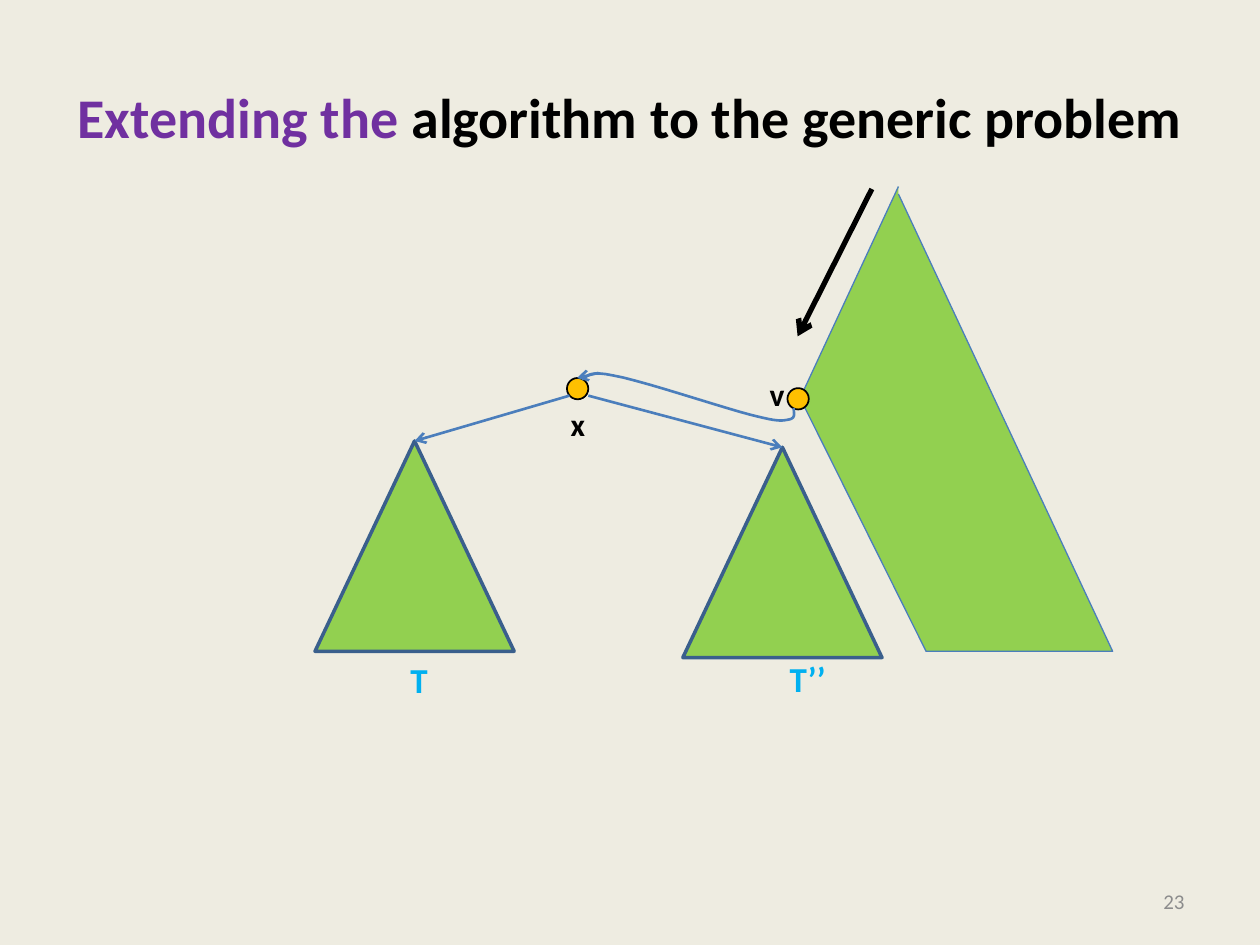
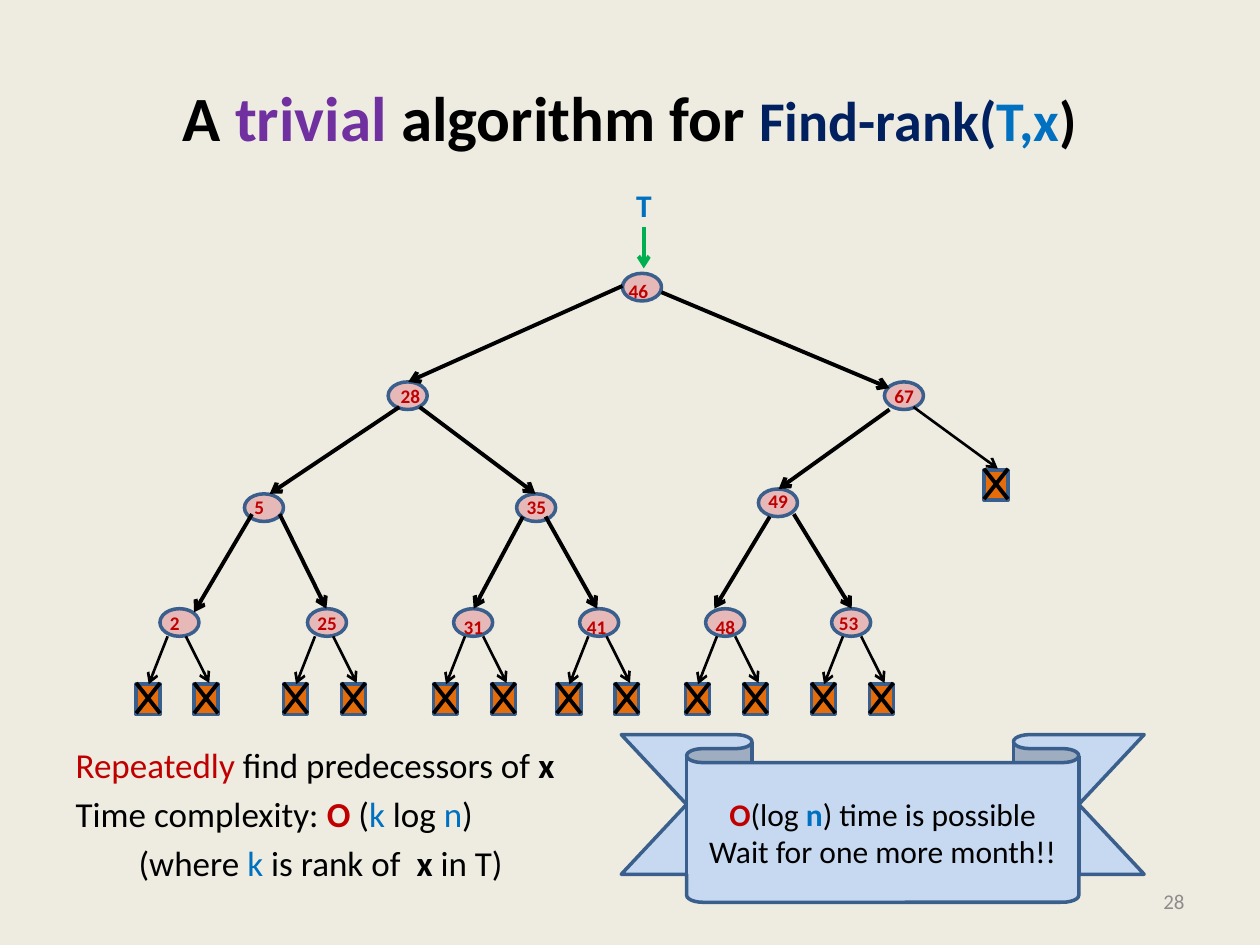
import dataclasses

import pptx
import pptx.dml.color
import pptx.enum.shapes
import pptx.enum.text
import pptx.oxml
import pptx.oxml.ns
import pptx.util

Pt = pptx.util.Pt
Shape = pptx.enum.shapes.MSO_SHAPE
Align = pptx.enum.text.PP_ALIGN
Anchor = pptx.enum.text.MSO_ANCHOR


@dataclasses.dataclass(frozen=True)
class Theme:
    font: str = "Calibri"
    paper: str = "EEECE1"
    black: str = "000000"
    grey: str = "8C8C8C"
    purple: str = "7030A0"
    navy: str = "002060"
    blue: str = "0070C0"
    sky: str = "00B0F0"
    red: str = "C00000"
    green: str = "92D050"
    arrow_green: str = "00B050"
    gold: str = "FFC000"
    pink: str = "E6B9B8"
    orange: str = "E46C0A"
    ribbon: str = "C6D9F1"
    outline: str = "3A5F8C"
    link: str = "4B7EBC"
    title_large: int = 36
    title: int = 32
    body: int = 20
    label: int = 18
    footer: int = 12
    key: int = 11


THEME = Theme()
NODE_SIZE = (22.3, 15.8)
LEAF_SIZE = (13.7, 17.3)
LEAF_TOP = 391
LEAF_STEP = 33.1
LEAF_STARTS = [77.8, 162, 247.7, 318.2, 391.7, 463.7]
NODES = [
    ("46", 355.7, 156.2, -3.6, 0),
    ("28", 221.8, 218.2, 0, -2.2),
    ("67", 505.4, 218.2, -1.4, -2.2),
    ("5", 139.7, 282.2, -1.4, -2.9),
    ("35", 295.2, 282.2, -1.4, -2.9),
    ("49", 433.4, 279.4, -1.4, -3.6),
    ("2", 91.4, 347.8, -1.4, -2.2),
    ("25", 175.7, 347.8, -1.4, -2.2),
    ("31", 259.2, 347.8, -1.4, 0),
    ("41", 331.2, 347.8, -2.9, 0),
    ("48", 403.2, 347.8, -1.4, 0),
    ("53", 475.2, 347.8, -2.9, -2.2),
]
EDGES = [
    (355.7, 163.4, 233.3, 218.2), (378, 167, 508.3, 221.8),
    (228.2, 232.6, 154.1, 282.2), (239.8, 232.6, 306, 282.2),
    (508.3, 234, 445, 279.4),
    (144, 293.8, 110.9, 349.9), (159.8, 293.8, 186.5, 347.8),
    (298.8, 295.2, 270.7, 347.8), (311.8, 295.2, 341.3, 347.8),
    (439.9, 295.2, 408.2, 347.8), (453.6, 293.8, 486.7, 347.8),
]
CURVES = [
    [(453.6, 233.3), (453.6, 236.2), (455, 239), (450.7, 239.8)],
    [(450.7, 239.8), (446.4, 240.5), (445, 241.2), (428.4, 236.9)],
    [(428.4, 236.9), (411.8, 232.6), (366.5, 217.4), (350.6, 214.6)],
    [(350.6, 214.6), (334.1, 211), (335.5, 216.7), (332.6, 216.7)],
]


def rgb(color):
    return pptx.dml.color.RGBColor.from_string(color)


def add_spans(para, spans, size):
    for text, color, bold, *own_size in spans:
        span = para.add_run()
        span.text = text
        span.font.name = THEME.font
        span.font.size = Pt(own_size[0] if own_size else size)
        span.font.bold = bold
        span.font.color.rgb = rgb(color)


def place(box, left, top, width, height):
    box.left, box.top, box.width, box.height = map(Pt, (left, top, width, height))


def add_label(page, area, text, color, size, bold=True, wrap=False):
    box = page.shapes.add_textbox(*map(Pt, area))
    box.text_frame.word_wrap = wrap
    add_spans(box.text_frame.paragraphs[0], [(text, color, bold)], size)
    return box


def style_shape(shape, fill, line, weight):
    shape.shadow.inherit = False
    if fill:
        shape.fill.solid()
        shape.fill.fore_color.rgb = rgb(fill)
    else:
        shape.fill.background()
    shape.line.color.rgb = rgb(line)
    shape.line.width = Pt(weight)


def add_figure(page, kind, area, fill, line=THEME.outline, weight=2):
    shape = page.shapes.add_shape(kind, *map(Pt, area))
    style_shape(shape, fill, line, weight)
    return shape


def add_outline(page, points, fill, weight):
    builder = page.shapes.build_freeform(Pt(points[0][0]), Pt(points[0][1]))
    builder.add_line_segments([(Pt(x), Pt(y)) for x, y in points[1:]], close=False)
    style_shape(builder.convert_to_shape(), fill, THEME.link, weight)


def add_line(page, ends, color=THEME.black, weight=2.25, arrow=True):
    line = page.shapes.add_connector(
        pptx.enum.shapes.MSO_CONNECTOR.STRAIGHT, *map(Pt, ends))
    line.line.color.rgb = rgb(color)
    line.line.width = Pt(weight)
    properties = line._element.spPr
    if arrow:
        head = pptx.oxml.parse_xml(
            f'<a:tailEnd {pptx.oxml.ns.nsdecls("a")} type="arrow"/>')
        properties.find(pptx.oxml.ns.qn("a:ln")).append(head)
    properties.append(pptx.oxml.parse_xml(f'<a:effectLst {pptx.oxml.ns.nsdecls("a")}/>'))


def bezier_points(curve, steps=10):
    weights = [((1 - t) ** 3, 3 * t * (1 - t) ** 2, 3 * t * t * (1 - t), t ** 3)
               for t in (step / steps for step in range(1, steps + 1))]
    return [tuple(sum(w * point[axis] for w, point in zip(row, curve))
                  for axis in (0, 1)) for row in weights]


def add_page(deck, layout, number, title_spans):
    page = deck.slides.add_slide(deck.slide_layouts[layout])
    title = page.shapes.title
    place(title, 36, 21.6, 648, 90)
    title.text_frame.auto_size = pptx.enum.text.MSO_AUTO_SIZE.NONE
    title.text_frame.vertical_anchor = Anchor.MIDDLE
    title.text_frame.paragraphs[0].alignment = Align.CENTER
    add_spans(title.text_frame.paragraphs[0], title_spans, THEME.title)
    footer = add_label(page, (516.2, 500.4, 167.8, 28.8), number,
                       THEME.grey, THEME.footer, False, True)
    footer.text_frame.vertical_anchor = Anchor.MIDDLE
    footer.text_frame.paragraphs[0].alignment = Align.RIGHT
    return page


def add_body(page, area, lines):
    body = page.placeholders[1]
    place(body, *area)
    frame = body.text_frame
    frame.auto_size = pptx.enum.text.MSO_AUTO_SIZE.NONE
    for index, (margin, spans) in enumerate(lines):
        para = frame.add_paragraph() if index else frame.paragraphs[0]
        para.space_before = Pt(4)
        properties = para._p.get_or_add_pPr()
        properties.set("marL", str(Pt(margin)))
        properties.set("indent", "0")
        properties.append(pptx.oxml.parse_xml(f'<a:buNone {pptx.oxml.ns.nsdecls("a")}/>'))
        add_spans(para, spans, THEME.body)


def add_leaf(page, left, top, arrow_ends):
    width, height = LEAF_SIZE
    right, bottom = left + width, top + height
    add_figure(page, Shape.RECTANGLE, (left, top, width, height), THEME.orange)
    add_line(page, (right, top - 0.7, left, bottom - 0.7), arrow=False)
    add_line(page, (left, top - 0.7, right, bottom - 0.7), arrow=False)
    add_line(page, arrow_ends, weight=1.5)


def add_node(page, key, left, top, shift_x, shift_y):
    add_figure(page, Shape.OVAL, (left, top, *NODE_SIZE), THEME.pink)
    width = 14.6 + 5.6 * len(key)
    add_label(page, (left + shift_x, top + shift_y, width, 20.9),
              key, THEME.red, THEME.key)


def build_extension_page(deck):
    page = add_page(deck, 5, "23", [
        ("Extending the ", THEME.purple, True),
        ("algorithm to the generic problem", THEME.black, True)])
    for left, top in [(180, 252), (390.2, 255.6)]:
        add_figure(page, Shape.ISOSCELES_TRIANGLE, (left, top, 113.8, 120.2), THEME.green)
    add_outline(page, [(513.4, 106.6), (457.2, 227.5), (529.2, 372.2),
                       (635.8, 372.2), (513.4, 110.9)], THEME.green, 0.75)
    for left, top in [(324, 216), (450, 221.8)]:
        add_figure(page, Shape.OVAL, (left, top, 12.2, 12.2), THEME.gold, THEME.black, 1)
    add_line(page, (498.2, 108, 455.8, 192.2), weight=3)
    for ends in [(336.2, 226.1, 447.1, 255.6), (325.4, 226.1, 236.9, 252),
                 (342, 213.1, 329.8, 216)]:
        add_line(page, ends, THEME.link, 1.5)
    points = [CURVES[0][0]] + [point for curve in CURVES for point in bezier_points(curve)]
    add_outline(page, points, None, 1.5)
    for text, left, top, width in [("T", 227.5, 373, 24.5), ("T’’", 444.2, 372.2, 35.3)]:
        add_label(page, (left, top, width, 31.7), text, THEME.sky, THEME.body)
    for text, left, top in [("x", 319, 228.2), ("v", 432.7, 211)]:
        add_label(page, (left, top, 23, 28.8), text, THEME.black, THEME.label)


def build_rank_page(deck):
    black, blue, red = THEME.black, THEME.blue, THEME.red
    large = THEME.title_large
    page = add_page(deck, 1, "28", [
        ("A", black, True, large), (" trivial ", THEME.purple, True, large),
        ("algorithm for ", black, True, large), ("Find-rank(", THEME.navy, True),
        ("T,x", blue, True), (")", black, True)])
    add_body(page, (36, 421.5, 310, 94.5), [
        (0, [("Repeatedly", red, False), (" find predecessors of ", black, False),
             ("x", black, True)]),
        (0, [("Time complexity: ", black, False), ("O ", red, True), ("(", black, False),
             ("k", blue, False), (" log ", black, False), ("n", blue, False),
             (")", black, False)]),
        (36, [("(where ", black, False), ("k", blue, False),
              (" is rank of  ", black, False), ("x", black, True),
              (" in T)", black, False)])])
    for node in NODES:
        add_node(page, *node)
    for edge in EDGES:
        add_line(page, edge)
    add_line(page, (367.9, 129.6, 367.9, 153.4), THEME.arrow_green)
    add_label(page, (356.4, 103, 39.6, 28.8), "T", blue, THEME.label, wrap=True)
    for left in LEAF_STARTS:
        add_leaf(page, left, LEAF_TOP, (left + 18, 363.6, left + 7.2, LEAF_TOP))
        add_leaf(page, left + LEAF_STEP, LEAF_TOP,
                 (left + 28.4, 363.6, left + 41.8, LEAF_TOP - 0.7))
    add_leaf(page, 562.3, 268.6, (522, 232.6, 570.2, 267.8))
    ribbon = add_figure(page, Shape.DOWN_RIBBON, (355, 419.8, 298.8, 95.8), THEME.ribbon)
    ribbon.adjustments[0], ribbon.adjustments[1] = 0.167, 0.75
    frame = ribbon.text_frame
    frame.vertical_anchor = Anchor.MIDDLE
    add_spans(frame.paragraphs[0], [
        ("O", red, True), ("(log ", black, False), ("n", blue, True),
        (") time is possible", black, False)], THEME.label)
    add_spans(frame.add_paragraph(), [("Wait for one more month!!", black, False)],
              THEME.label)
    for para in frame.paragraphs:
        para.alignment = Align.CENTER


def main():
    deck = pptx.Presentation()
    deck.slide_width, deck.slide_height = Pt(720), Pt(540)
    background = deck.slide_master.background.fill
    background.solid()
    background.fore_color.rgb = rgb(THEME.paper)
    build_extension_page(deck)
    build_rank_page(deck)
    deck.save("out.pptx")


main()
